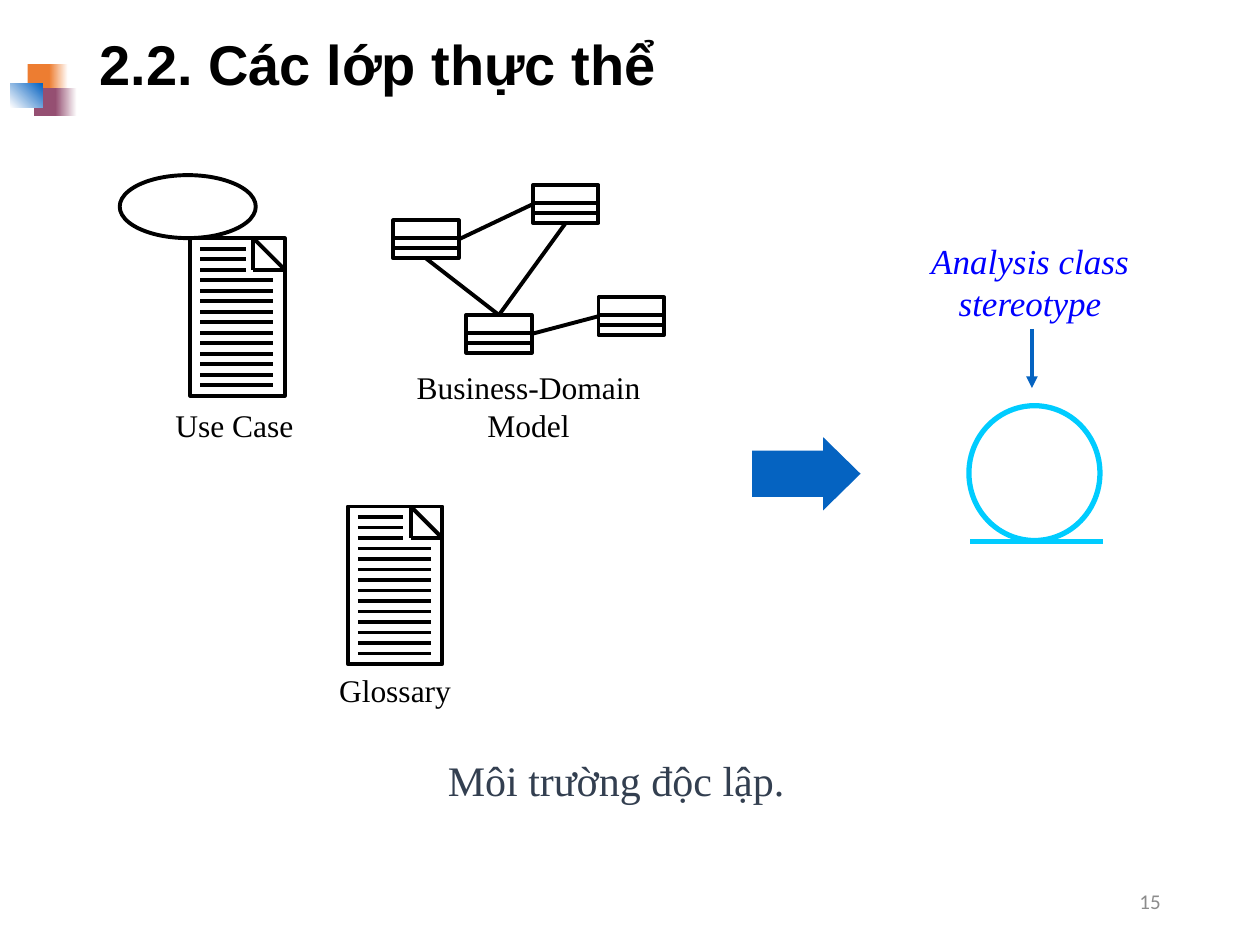
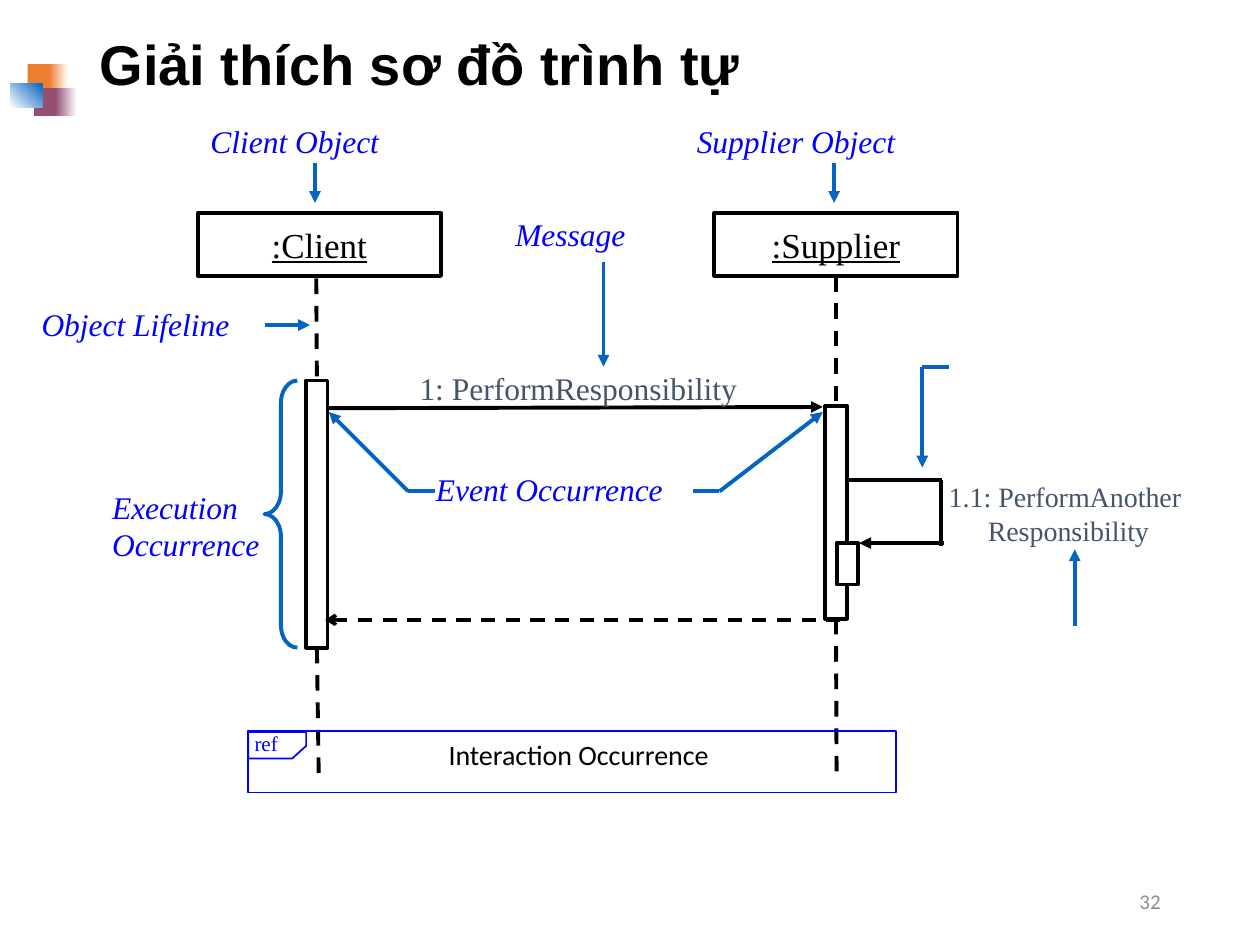
from dataclasses import dataclass
from typing import NamedTuple, Optional

from pptx import Presentation
from pptx.dml.color import RGBColor
from pptx.enum.dml import MSO_LINE
from pptx.enum.shapes import MSO_CONNECTOR, MSO_SHAPE as Preset
from pptx.enum.text import MSO_ANCHOR as Anchor, PP_ALIGN as Align
from pptx.oxml.ns import qn
from pptx.shapes.autoshape import Shape
from pptx.shapes.connector import Connector
from pptx.slide import Slide
from pptx.util import Inches, Pt
from lxml import etree

# Shared look
BLACK, WHITE = "000000", "FFFFFF"
ACCENT, NOTE, SLATE, NAVY = "0563C1", "0000FF", "44546A", "333F50"
ORANGE, PLUM, CYAN, GREY = "ED7D31", "954F72", "00CCFF", "8C8C8C"
SERIF, SANS, HEADING = "Times New Roman", "Calibri", "Arial"
STROKE = 2.25
TOP, LEFT, BOTTOM, RIGHT = range(4)
NO_INSETS = (0, 0)


class Area(NamedTuple):
    left: float
    top: float
    width: float
    height: float

    def lengths(self) -> list[Inches]:
        return [Inches(value) for value in self]


class Point(NamedTuple):
    x: float
    y: float


class Joint(NamedTuple):
    shape: Shape
    side: int


@dataclass
class TextStyle:
    size: float = 18
    color: str = BLACK
    font: str = SERIF
    italic: bool = False
    bold: bool = False
    underline: bool = False
    align: Align = Align.LEFT
    line_spacing: Optional[float] = None
    hanging: float = 0


@dataclass
class Label:
    text: str
    area: Area
    style: TextStyle
    insets: tuple[float, float] = NO_INSETS
    anchor: Anchor = Anchor.TOP


@dataclass
class Stroke:
    color: str = BLACK
    width: float = STROKE
    dashed: bool = False
    arrow: str = ""


TITLE = TextStyle(32, font=HEADING, bold=True, line_spacing=0.9)
NUMBER = TextStyle(12, GREY, SANS, align=Align.RIGHT)
CAPTION = TextStyle(align=Align.CENTER)
REMARK = TextStyle(color=NOTE, italic=True)
OBJECT_NAME = TextStyle(20, underline=True, align=Align.CENTER)
SOLID = Stroke()
DASHED = Stroke(dashed=True)
CALL = Stroke(arrow="triangle")
POINTER = Stroke(ACCENT, arrow="triangle")
POINTER_STEM = Stroke(ACCENT)


def rgb(color: str) -> RGBColor:
    return RGBColor.from_string(color)


# Drawing helpers
def write(shape: Shape, text: str, style: TextStyle) -> None:
    frame = shape.text_frame
    for index, words in enumerate(text.split("\n")):
        para = frame.paragraphs[0] if index == 0 else frame.add_paragraph()
        para.text = words
        para.alignment = style.align
        if style.line_spacing:
            para.line_spacing = style.line_spacing
        if style.hanging:
            properties = para._p.get_or_add_pPr()
            properties.set("marL", str(Inches(style.hanging)))
            properties.set("indent", str(-Inches(style.hanging)))
        font = para.font
        font.name, font.size = style.font, Pt(style.size)
        font.bold, font.italic = style.bold, style.italic
        font.underline = style.underline
        font.color.rgb = rgb(style.color)


def add_label(page: Slide, label: Label) -> None:
    box = page.shapes.add_textbox(*label.area.lengths())
    frame = box.text_frame
    frame.word_wrap = True
    frame.vertical_anchor = label.anchor
    side, edge = label.insets
    frame.margin_left = frame.margin_right = Inches(side)
    frame.margin_top = frame.margin_bottom = Inches(edge)
    write(box, label.text, label.style)


def finish(shape: Shape, fill: str = "", stroke: Optional[Stroke] = None) -> None:
    shape.shadow.inherit = False
    if fill:
        shape.fill.solid()
        shape.fill.fore_color.rgb = rgb(fill)
    else:
        shape.fill.background()
    if stroke:
        shape.line.color.rgb = rgb(stroke.color)
        shape.line.width = Pt(stroke.width)
    else:
        shape.line.fill.background()


def add_block(page: Slide, area: Area, kind: Preset = Preset.RECTANGLE,
              fill: str = "", stroke: Optional[Stroke] = SOLID) -> Shape:
    block = page.shapes.add_shape(kind, *area.lengths())
    finish(block, fill, stroke)
    return block


def add_line(page: Slide, start: Point | Joint, end: Point | Joint,
             stroke: Stroke = SOLID) -> Connector:
    ends = [Point(0, 0) if isinstance(stop, Joint) else stop for stop in (start, end)]
    line = page.shapes.add_connector(
        MSO_CONNECTOR.STRAIGHT, *(Inches(value) for stop in ends for value in stop))
    if isinstance(start, Joint):
        line.begin_connect(start.shape, start.side)
    if isinstance(end, Joint):
        line.end_connect(end.shape, end.side)
    line.line.color.rgb = rgb(stroke.color)
    line.line.width = Pt(stroke.width)
    if stroke.dashed:
        line.line.dash_style = MSO_LINE.DASH
    properties = line._element.spPr
    if stroke.arrow:
        etree.SubElement(properties.find(qn("a:ln")), qn("a:tailEnd"), type=stroke.arrow)
    etree.SubElement(properties, qn("a:effectLst"))
    return line


def add_gradient(page: Slide, area: Area, first: str, last: str, angle: float) -> None:
    block = add_block(page, area, fill=first, stroke=None)
    block.fill.gradient()
    block.fill.gradient_angle = angle
    for stop, color, position in zip(block.fill.gradient_stops, (first, last), (0, 1)):
        stop.color.rgb = rgb(color)
        stop.position = position


# Page frame: corner squares, title and number
def add_page(deck: Presentation, title: str, number: str) -> Slide:
    page = deck.slides.add_slide(deck.slide_layouts[5])
    add_block(page, Area(0.22, 0.51, 0.2, 0.22), fill=ORANGE, stroke=None)
    add_gradient(page, Area(0.39, 0.51, 0.15, 0.22), ORANGE, WHITE, 0)
    add_block(page, Area(0.27, 0.7, 0.19, 0.22), fill=PLUM, stroke=None)
    add_gradient(page, Area(0.44, 0.7, 0.17, 0.22), PLUM, WHITE, 0)
    add_gradient(page, Area(0.08, 0.66, 0.26, 0.19), WHITE, ACCENT, 45)

    heading = page.shapes.title
    heading.left, heading.top, heading.width, heading.height = Area(
        0.69, 0.13, 8.62, 0.81).lengths()
    heading.text_frame.vertical_anchor = Anchor.MIDDLE
    write(heading, title, TITLE)
    add_label(page, Label(number, Area(7.06, 6.95, 2.25, 0.4), NUMBER,
                          (0.1, 0.05), Anchor.MIDDLE))
    return page


# Parts of the entity class page
def add_document(page: Slide, left: float, top: float) -> None:
    width, height, fold, margin = 0.75, 1.25, 0.25, 0.08
    rows, short_rows = 15, 3
    add_block(page, Area(left, top, width, height))
    inner, outer = left + width - fold, left + width
    corners = [Point(inner, top), Point(outer, top + fold), Point(inner, top + fold)]
    for index, corner in enumerate(corners):
        add_line(page, corner, corners[(index + 1) % 3])
    for row in range(1, rows):
        y = top + row * height / rows
        length = 0.36 if row <= short_rows else 0.58
        add_line(page, Point(left + margin, y), Point(left + margin + length, y))


def add_class_box(page: Slide, left: float, top: float) -> Shape:
    width = 0.52
    box = add_block(page, Area(left, top, width, 0.3))
    for offset in (0.14, 0.22):
        add_line(page, Point(left, top + offset), Point(left + width, top + offset))
    return box


def build_entity_page(deck: Presentation) -> None:
    page = add_page(deck, "2.2. Các lớp thực thể", "15")

    # Use case and glossary documents
    add_block(page, Area(0.95, 1.39, 1.08, 0.5), Preset.OVAL)
    add_document(page, 1.51, 1.89)
    add_document(page, 2.76, 4.02)

    # Business-domain model
    west, north, south, east = (
        add_class_box(page, *corner)
        for corner in ((3.12, 1.75), (4.23, 1.47), (3.7, 2.5), (4.75, 2.36)))
    for start, end in (
            (Joint(south, TOP), Joint(west, BOTTOM)),
            (Joint(west, RIGHT), Joint(north, LEFT)),
            (Joint(south, RIGHT), Joint(east, LEFT)),
            (Joint(south, TOP), Joint(north, BOTTOM))):
        add_line(page, start, end)

    # Block arrow to the entity class symbol
    arrow = add_block(page, Area(5.97, 3.47, 0.86, 0.58), Preset.RIGHT_ARROW, ACCENT, None)
    arrow.adjustments[0], arrow.adjustments[1] = 0.63, 0.51
    entity = Stroke(CYAN, 3)
    add_block(page, Area(7.69, 3.22, 1.04, 1.07), Preset.OVAL, stroke=entity)
    add_line(page, Point(7.7, 4.3), Point(8.75, 4.3), entity)
    add_line(page, Point(8.19, 2.61), Point(8.19, 3.08), POINTER)

    padding = (0.1, 0.05)
    for label in (
            Label("Use Case", Area(1.14, 3.17, 1.44, 0.4), CAPTION, padding),
            Label("Business-Domain\nModel", Area(3.08, 2.87, 2.23, 0.7), CAPTION, padding),
            Label("Glossary", Area(2.54, 5.28, 1.19, 0.4), CAPTION, padding),
            Label("Môi trường độc lập.", Area(2.83, 5.94, 4.12, 0.5),
                  TextStyle(24, NAVY, align=Align.CENTER), padding),
            Label("Analysis class stereotype", Area(7.18, 1.84, 1.99, 0.78),
                  TextStyle(20, NOTE, italic=True, align=Align.CENTER), (0.12, 0.06))):
        add_label(page, label)


# Parts of the sequence diagram page
def add_object(page: Slide, name: str, left: float) -> Shape:
    box = add_block(page, Area(left, 1.69, 1.93, 0.5))
    box.text_frame.vertical_anchor = Anchor.MIDDLE
    write(box, name, OBJECT_NAME)
    return box


def add_reference(page: Slide) -> None:
    thin = Stroke(NOTE, 1)
    add_block(page, Area(1.97, 5.8, 5.14, 0.49), stroke=thin)
    corners = [(Inches(x), Inches(y)) for x, y in (
        (1.97, 6.02), (1.97, 5.81), (2.43, 5.81), (2.43, 5.92), (2.32, 6.02))]
    outline = page.shapes.build_freeform(*corners[0])
    outline.add_line_segments(corners[1:], close=True)
    finish(outline.convert_to_shape(), stroke=thin)
    add_label(page, Label("Interaction Occurrence", Area(3.56, 5.94, 2.25, 0.18),
                          TextStyle(16, font=SANS, line_spacing=Pt(13))))
    add_label(page, Label("ref", Area(2.02, 5.82, 0.28, 0.19),
                          TextStyle(12, NOTE, line_spacing=Pt(13))))


def build_sequence_page(deck: Presentation) -> None:
    page = add_page(deck, "Giải thích sơ đồ trình tự", "32")

    # Objects, execution bars and lifelines
    add_object(page, ":Client", 1.57)
    supplier = add_object(page, ":Supplier", 5.67)
    client_bar = add_block(page, Area(2.43, 3.02, 0.17, 2.12))
    supplier_bar = add_block(page, Area(6.55, 3.22, 0.17, 1.69))
    add_block(page, Area(6.64, 4.31, 0.17, 0.33), fill=WHITE)
    add_line(page, Point(2.51, 2.21), Joint(client_bar, TOP), DASHED)
    add_line(page, Joint(client_bar, BOTTOM), Point(2.53, 6.18), DASHED)
    add_line(page, Joint(supplier, BOTTOM), Joint(supplier_bar, TOP), DASHED)
    add_line(page, Joint(supplier_bar, BOTTOM), Point(6.64, 6.18), DASHED)

    # Messages
    add_line(page, Point(2.6, 3.24), Point(6.53, 3.23), CALL)
    add_line(page, Point(6.71, 3.81), Point(7.48, 3.81))
    add_line(page, Point(7.47, 3.81), Point(7.47, 4.33))
    add_line(page, Point(7.49, 4.31), Point(6.82, 4.31), CALL)
    add_line(page, Point(6.67, 4.92), Point(2.58, 4.92), Stroke(BLACK, 2, True, "arrow"))

    # Pointers from remarks to parts
    for start, end in (
            (Point(2.5, 1.29), Point(2.5, 1.61)), (Point(6.62, 1.29), Point(6.62, 1.61)),
            (Point(4.79, 2.08), Point(4.79, 2.91)), (Point(2.1, 2.58), Point(2.46, 2.58)),
            (Point(7.32, 2.91), Point(7.32, 3.71)), (Point(8.53, 4.97), Point(8.53, 4.36)),
            (Point(5.71, 3.9), Point(6.53, 3.27)), (Point(3.24, 3.9), Point(2.61, 3.27))):
        add_line(page, start, end, POINTER)
    for left, right, y in ((3.24, 3.45, 3.9), (5.5, 5.71, 3.9), (7.32, 7.53, 2.91)):
        add_line(page, Point(left, y), Point(right, y), POINTER_STEM)
    brace = add_block(page, Area(2.1, 3.02, 0.26, 2.12), Preset.LEFT_BRACE,
                      stroke=POINTER_STEM)
    brace.adjustments[0], brace.adjustments[1] = 0.69, 0.5

    add_reference(page)

    # Remarks and message names
    for label in (
            Label("Client Object", Area(1.67, 0.97, 1.6, 0.34), REMARK),
            Label("Supplier Object", Area(5.53, 0.97, 2.25, 0.34), REMARK),
            Label("Message", Area(4.09, 1.71, 0.97, 0.3), REMARK),
            Label("Object Lifeline", Area(0.33, 2.42, 1.77, 0.34), REMARK),
            Label("Execution\nOccurrence", Area(0.89, 3.87, 1.27, 0.61), REMARK),
            Label("Event Occurrence", Area(3.46, 3.73, 2.12, 0.34), REMARK),
            Label("1: PerformResponsibility", Area(3.33, 2.93, 3.1, 0.3),
                  TextStyle(18, SLATE, hanging=0.31)),
            Label("1.1: PerformAnother\vResponsibility", Area(7.53, 3.81, 2.1, 0.54),
                  TextStyle(16, SLATE, hanging=0.31))):
        add_label(page, label)


def main() -> None:
    deck = Presentation()
    deck.slide_width, deck.slide_height = Inches(10), Inches(7.5)
    build_entity_page(deck)
    build_sequence_page(deck)
    deck.save("out.pptx")


if __name__ == "__main__":
    main()
